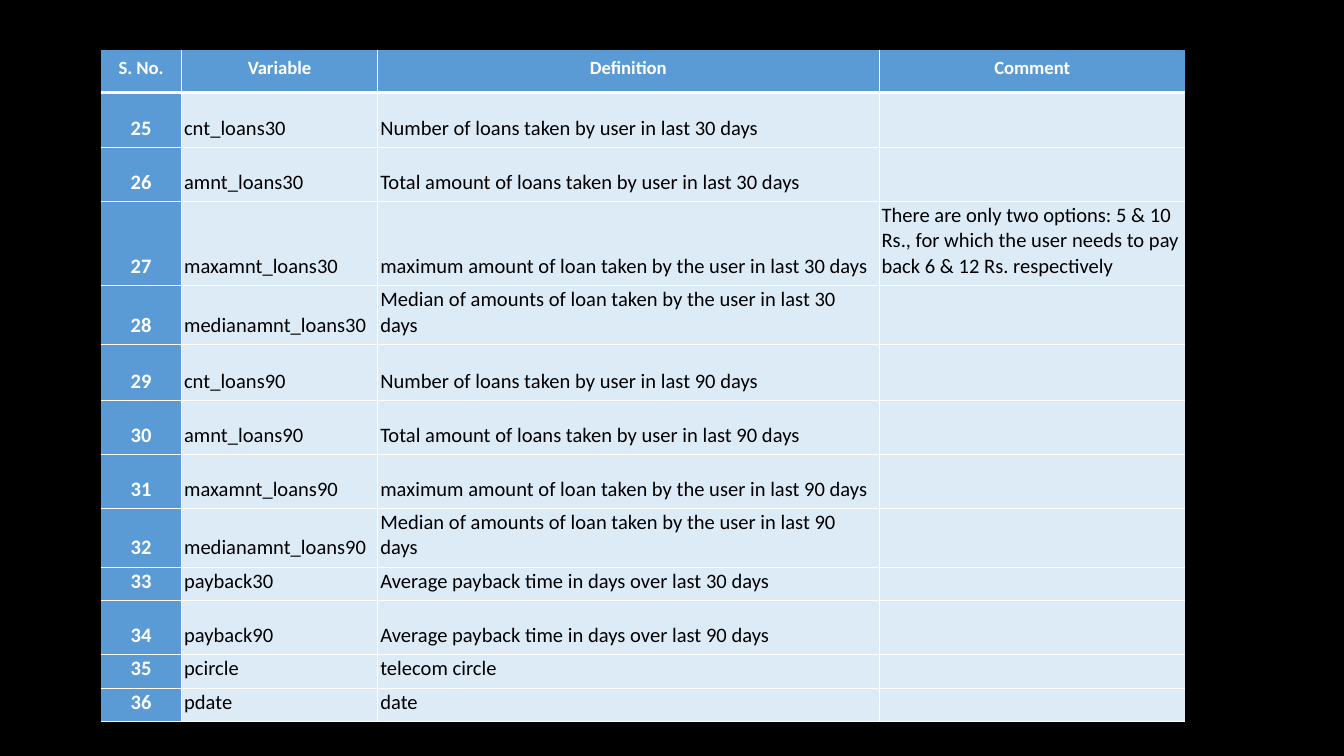
from lxml.etree import SubElement
from pptx import Presentation
from pptx.dml.color import RGBColor
from pptx.enum.text import MSO_ANCHOR, PP_ALIGN
from pptx.oxml.ns import qn
from pptx.util import Inches, Pt

COLORS = {"background": "000000", "accent": "5B9BD5", "body": "DDEBF7",
          "light": "FFFFFF", "dark": "000000"}
FONT = "Calibri"
HEADINGS = ("S. No.", "Variable", "Definition", "Comment")
FIRST_NUMBER = 25
VARIABLES = [
    ("cnt_loans30", "Number of loans taken by user in last 30 days", ""),
    ("amnt_loans30", "Total amount of loans taken by user in last 30 days", ""),
    ("maxamnt_loans30", "maximum amount of loan taken by the user in last 30 days",
     "There are only two options: 5 & 10 Rs., for which the user needs to pay "
     "back 6 & 12 Rs. respectively"),
    ("medianamnt_loans30", "Median of amounts of loan taken by the user in last 30 days", ""),
    ("cnt_loans90", "Number of loans taken by user in last 90 days", ""),
    ("amnt_loans90", "Total amount of loans taken by user in last 90 days", ""),
    ("maxamnt_loans90", "maximum amount of loan taken by the user in last 90 days", ""),
    ("medianamnt_loans90", "Median of amounts of loan taken by the user in last 90 days", ""),
    ("payback30", "Average payback time in days over last 30 days", ""),
    ("payback90", "Average payback time in days over last 90 days", ""),
    ("pcircle", "telecom circle", ""),
    ("pdate", "date", ""),
]
SLIDE_WIDTH = 10
SLIDE_HEIGHT = SLIDE_WIDTH * 9 / 16
COLUMN_WIDTHS = (0.6, 1.46, 3.73, 2.28)
ROW_HEIGHTS = (0.32, 0.41, 0.4, 0.61, 0.43, 0.42, 0.4, 0.4, 0.43, 0.25, 0.4, 0.25, 0.25)


def rgb(name):
    return RGBColor.from_string(COLORS[name])


def add_border(cell, side, points):
    line = SubElement(cell._tc.get_or_add_tcPr(), qn(f"a:ln{side}"), w=str(Pt(points)))
    if points:
        fill = SubElement(line, qn("a:solidFill"))
        SubElement(fill, qn("a:srgbClr"), val=COLORS["light"])
    else:
        SubElement(line, qn("a:noFill"))


def fill_cell(cell, text, row, column):
    is_header = row == 0
    is_accent = is_header or column == 0
    last_column = len(HEADINGS) - 1
    add_border(cell, "L", 0.5 if column else 0)
    add_border(cell, "R", 0.5 if column < last_column else 0)
    add_border(cell, "T", {0: 0, 1: 1.5}.get(row, 0.5))
    add_border(cell, "B", 1.5 if is_header else 0.5)
    cell.fill.solid()
    cell.fill.fore_color.rgb = rgb("accent" if is_accent else "body")
    cell.margin_left = cell.margin_right = Inches(0.02)
    cell.margin_top = Inches(0.01)
    cell.margin_bottom = Inches(0.05)
    cell.vertical_anchor = MSO_ANCHOR.MIDDLE if is_header else MSO_ANCHOR.BOTTOM
    paragraph = cell.text_frame.paragraphs[0]
    paragraph.alignment = PP_ALIGN.CENTER if is_accent else PP_ALIGN.LEFT
    if not text:
        SubElement(paragraph._p, qn("a:endParaRPr"), sz="1100")
        return
    run = paragraph.add_run()
    run.text = text
    run.font.name = FONT
    run.font.size = Pt(10 if is_header else 11)
    run.font.bold = is_accent
    run.font.color.rgb = rgb("light" if is_accent else "dark")


def main():
    presentation = Presentation()
    presentation.slide_width = Inches(SLIDE_WIDTH)
    presentation.slide_height = Inches(SLIDE_HEIGHT)
    slide = presentation.slides.add_slide(presentation.slide_layouts[6])
    slide.background.fill.solid()
    slide.background.fill.fore_color.rgb = rgb("background")

    rows = [HEADINGS] + [(str(number), *entry)
                         for number, entry in enumerate(VARIABLES, FIRST_NUMBER)]
    dictionary = slide.shapes.add_table(
        len(rows), len(HEADINGS), Inches(0.75), Inches(0.37),
        Inches(sum(COLUMN_WIDTHS)), Inches(sum(ROW_HEIGHTS))).table
    dictionary.horz_banding = False
    for column, width in zip(dictionary.columns, COLUMN_WIDTHS):
        column.width = Inches(width)
    for row, height in zip(dictionary.rows, ROW_HEIGHTS):
        row.height = Inches(height)
    for r, texts in enumerate(rows):
        for c, text in enumerate(texts):
            fill_cell(dictionary.cell(r, c), text, r, c)

    presentation.save("out.pptx")


if __name__ == "__main__":
    main()
